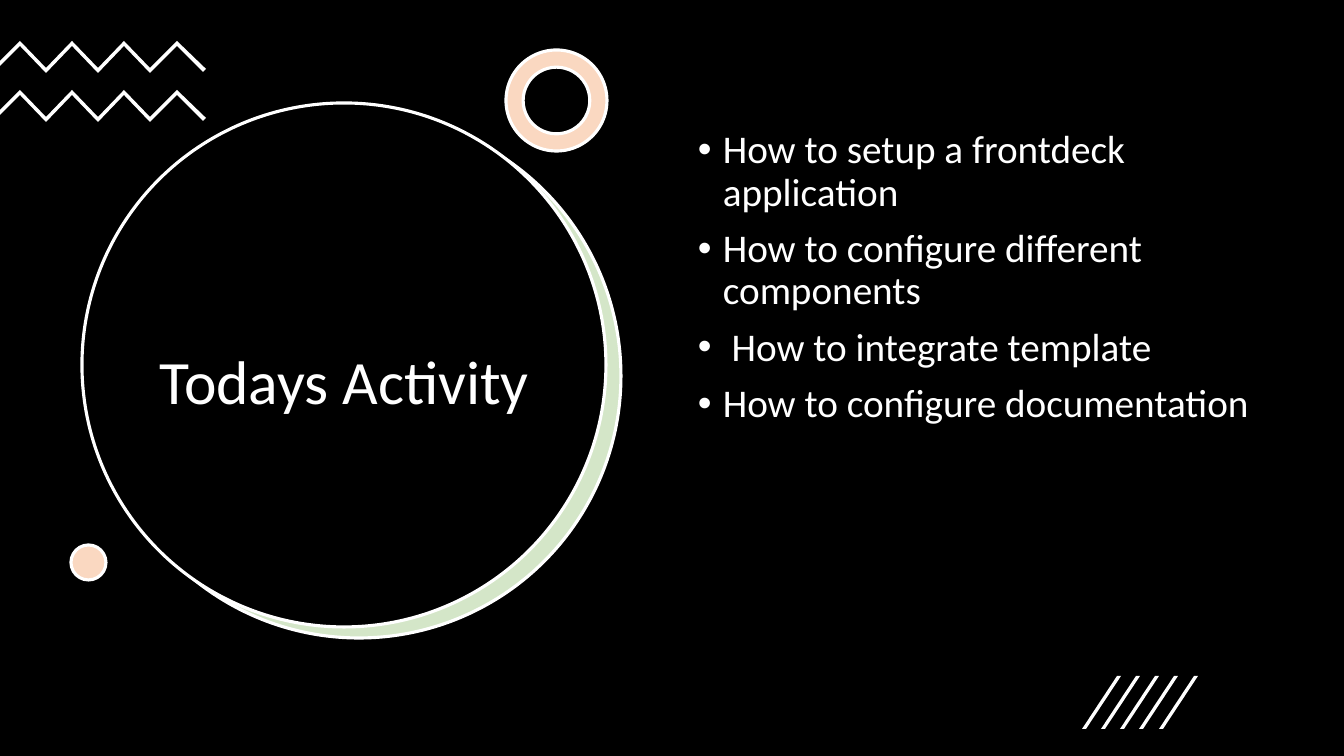
from lxml import etree
from pptx import Presentation
from pptx import util as u
from pptx.dml.color import RGBColor
from pptx.enum import shapes, text
from pptx.oxml import ns

PX = 914400 / 100.8
BLACK = RGBColor(0x00, 0x00, 0x00)
WHITE = RGBColor(0xFF, 0xFF, 0xFF)
GREEN = RGBColor(0xD4, 0xE6, 0xC8)
PEACH = RGBColor(0xFA, 0xD8, 0xC1)


def px(length):
    return u.Emu(round(length * PX))


def paint(shape, fill, outline=None):
    shape.shadow.inherit = False
    shape.fill.solid()
    shape.fill.fore_color.rgb = fill
    if outline is None:
        shape.line.fill.background()
    else:
        shape.line.color.rgb = outline
        shape.line.width = u.Pt(2.25)
    return shape


deck = Presentation()
deck.slide_width, deck.slide_height = px(1344), px(756)
slide = deck.slides.add_slide(deck.slide_layouts[6])
canvas = slide.shapes

# Black backdrop
paint(canvas.add_shape(shapes.MSO_SHAPE.RECTANGLE, 0, 0, px(1344), px(756)), BLACK)

# Title disc with its green crescent, and the small dot
for left, top, size, fill in [(97, 114, 524, GREEN), (82, 103, 524, BLACK), (71, 545, 35, PEACH)]:
    disc = canvas.add_shape(shapes.MSO_SHAPE.OVAL, px(left), px(top), px(size), px(size))
    paint(disc, fill, WHITE)

# Ring
ring = canvas.add_shape(shapes.MSO_SHAPE.DONUT, px(506), px(50), px(101), px(101))
ring.adjustments[0] = 0.17
paint(ring, PEACH, WHITE)

# Zigzags
for top in (41, 90):
    crest = [(20 + 157 * i // 6, top + 27 * (i % 2)) for i in range(7)]
    trough = [(x, y + 5) for x, y in reversed(crest)]
    outline = crest + [(206, top + 28), (203, top + 31)] + trough + [(0, top + 25), (0, top + 20)]
    zigzag = canvas.build_freeform(*outline[0], scale=PX)
    zigzag.add_line_segments(outline[1:])
    paint(zigzag.convert_to_shape(), WHITE)

# Slanted strokes
for i in range(5):
    left = 1082 + 77 * i // 4
    stroke = canvas.build_freeform(left, 729, scale=PX)
    stroke.add_line_segments([(left + 35, 676), (left + 39, 676), (left + 4, 729)])
    paint(stroke.convert_to_shape(), WHITE)

# Title
title = canvas.add_textbox(px(122), px(207), px(445), px(355)).text_frame
title.word_wrap = True
title.vertical_anchor = text.MSO_ANCHOR.MIDDLE
heading = title.paragraphs[0]
heading.text = "Todays Activity"
heading.alignment = text.PP_ALIGN.CENTER
heading.line_spacing = 0.9
heading.font.name, heading.font.size = "Calibri", u.Pt(44)
heading.font.color.rgb = WHITE

# Activities
activities = canvas.add_textbox(px(688), px(125), px(576), px(480)).text_frame
activities.word_wrap = True
activities.text = "\n".join([
    "How to setup a frontdeck application",
    "How to configure different components",
    " How to integrate template",
    "How to configure documentation",
])
for activity in activities.paragraphs:
    activity.line_spacing = 0.9
    activity.space_before = u.Pt(10)
    props = activity._p.get_or_add_pPr()
    props.set("marL", str(px(25)))
    props.set("indent", str(px(-25)))
    etree.SubElement(props, ns.qn("a:buFont")).set("typeface", "Arial")
    etree.SubElement(props, ns.qn("a:buChar")).set("char", "•")
    activity.font.name, activity.font.size = "Calibri", u.Pt(28)
    activity.font.color.rgb = WHITE

deck.save("out.pptx")
